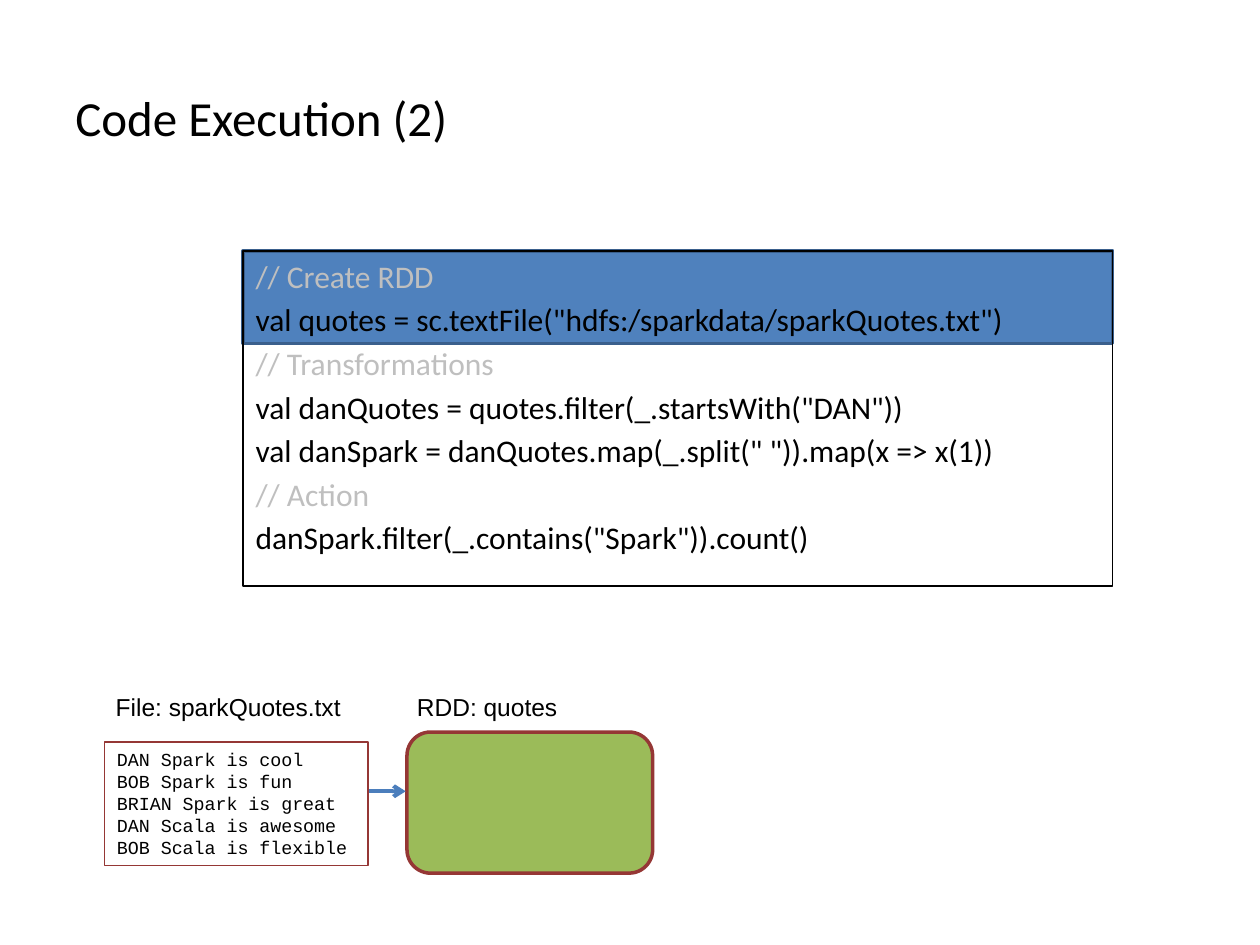
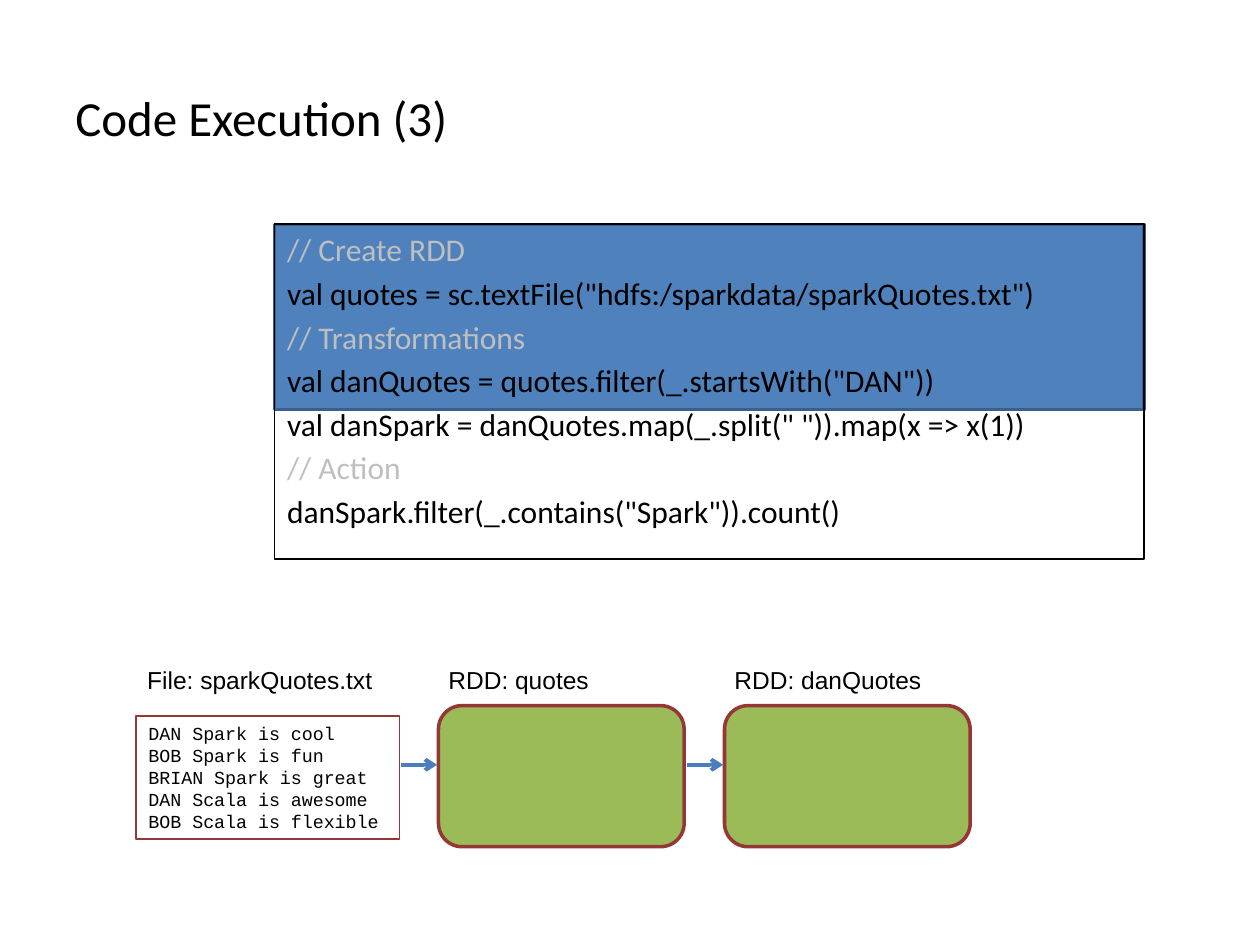
from dataclasses import dataclass

from pptx import Presentation
from pptx.dml.color import RGBColor
from pptx.enum.shapes import MSO_CONNECTOR, MSO_SHAPE
from pptx.enum.text import MSO_ANCHOR, PP_ALIGN
from pptx.oxml.ns import qn
from pptx.util import Inches, Pt
from lxml import etree

RECTANGLE = MSO_SHAPE.RECTANGLE
ROUNDED = MSO_SHAPE.ROUNDED_RECTANGLE
STRAIGHT = MSO_CONNECTOR.STRAIGHT
TOP, MIDDLE = MSO_ANCHOR.TOP, MSO_ANCHOR.MIDDLE
LEFT = PP_ALIGN.LEFT

# Slide grid: 100 columns by 75 rows of square cells
COLUMNS, ROWS = 100, 75
SLIDE_WIDTH, SLIDE_HEIGHT = Inches(10), Inches(7.5)

COLORS = {
    "text": "000000",
    "comment": "BFBFBF",
    "highlight": "4F81BD",
    "highlight_edge": "3A5F8C",
    "arrow": "4B7EBC",
    "rdd": "9BBB59",
    "data_edge": "953735",
}

CODE_LINES = [
    "// Create RDD",
    'val quotes = sc.textFile("hdfs:/sparkdata/sparkQuotes.txt")',
    "// Transformations",
    'val danQuotes = quotes.filter(_.startsWith("DAN"))',
    'val danSpark = danQuotes.map(_.split(" ")).map(x => x(1))',
    "// Action",
    'danSpark.filter(_.contains("Spark")).count()',
]
CODE_ROW = 3.68

FILE_LINES = [
    "DAN Spark is cool",
    "BOB Spark is fun",
    "BRIAN Spark is great",
    "DAN Scala is awesome",
    "BOB Scala is flexible",
]


@dataclass
class Box:
    left: float
    top: float
    width: float
    height: float

    def inner(self, left, top, width, height):
        return Box(self.left + left, self.top + top, width, height)

    def lengths(self):
        return (across(self.left), down(self.top),
                across(self.width), down(self.height))


def across(columns):
    return round(SLIDE_WIDTH * columns / COLUMNS)


def down(rows):
    return round(SLIDE_HEIGHT * rows / ROWS)


def color(name):
    return RGBColor.from_string(COLORS[name])


def write_text(shape, lines, font="Calibri", size=18, colors=None,
               space_before=0, anchor=TOP, wrap=True):
    """Fill a shape with one paragraph per line."""
    frame = shape.text_frame
    frame.word_wrap = wrap
    frame.vertical_anchor = anchor
    for index, line in enumerate(lines):
        paragraph = frame.add_paragraph() if index else frame.paragraphs[0]
        paragraph.alignment = LEFT
        paragraph.space_before = Pt(space_before)
        run = paragraph.add_run()
        run.text = line
        run.font.name = font
        run.font.size = Pt(size)
        run.font.color.rgb = color(colors[index] if colors else "text")


def add_text(slide, box, text, **text_format):
    write_text(slide.shapes.add_textbox(*box.lengths()), [text], **text_format)


def add_box(slide, box, kind=RECTANGLE, fill=None, edge="text", weight=1):
    shape = slide.shapes.add_shape(kind, *box.lengths())
    shape.shadow.inherit = False
    if fill:
        shape.fill.solid()
        shape.fill.fore_color.rgb = color(fill)
    else:
        shape.fill.background()
    shape.line.color.rgb = color(edge)
    shape.line.width = Pt(weight)
    return shape


def add_arrow(slide, start, end, row):
    arrow = slide.shapes.add_connector(
        STRAIGHT, across(start), down(row), across(end), down(row))
    arrow.line.color.rgb = color("arrow")
    arrow.line.width = Pt(2.25)
    etree.SubElement(arrow.line._get_or_add_ln(), qn("a:tailEnd"), type="arrow")
    etree.SubElement(arrow._element.spPr, qn("a:effectLst"))


def add_code_listing(slide, box, executed):
    # Band behind the lines already executed
    add_box(slide, box.inner(0, 0, box.width, executed * CODE_ROW),
            fill="highlight", edge="highlight_edge", weight=2)
    # Framed code, with comments in grey
    colors = ["comment" if line.startswith("//") else "text"
              for line in CODE_LINES]
    write_text(add_box(slide, box), CODE_LINES, colors=colors, space_before=3.3)


def add_data_flow(slide, box, rdds):
    label = {"font": "Arial", "size": 14, "wrap": False}
    # Source file
    file_box = add_box(slide, box.inner(0, 4.5, 20.9, 9.8), edge="data_edge")
    write_text(file_box, FILE_LINES, font="Courier New", size=10.5)
    add_text(slide, box.inner(-0.1, 0, 20, 3.4), "File: sparkQuotes.txt", **label)
    # Chain of datasets, each with an incoming arrow
    for index, (name, label_width) in enumerate(rdds):
        offset = 24 + index * 22.7
        add_box(slide, box.inner(offset, 3.7, 19.5, 11.2), kind=ROUNDED,
                fill="rdd", edge="data_edge", weight=2)
        add_text(slide, box.inner(offset - 0.2, 0, label_width, 3.4),
                 f"RDD: {name}", **label)
        left = box.left + offset
        add_arrow(slide, left - 3, left - 0.1, box.top + 8.4)


def add_execution_slide(presentation, step, left, top, executed, rdds):
    slide = presentation.slides.add_slide(presentation.slide_layouts[6])
    add_text(slide, Box(5, 3, 90, 12.5), f"Code Execution ({step})",
             size=28, anchor=MIDDLE)
    diagram = Box(left, top, 80, 49.4)
    add_code_listing(slide, diagram.inner(11, 0, 69, 26.6), executed)
    add_data_flow(slide, diagram.inner(0, 34.5, 80, 14.9), rdds)


def main():
    presentation = Presentation()
    presentation.slide_width = SLIDE_WIDTH
    presentation.slide_height = SLIDE_HEIGHT
    rdds = [("quotes", 13.2), ("danQuotes", 16.9)]
    add_execution_slide(presentation, 2, 8.3, 19.9, executed=2, rdds=rdds[:1])
    add_execution_slide(presentation, 3, 10.8, 17.8, executed=4, rdds=rdds)
    presentation.save("out.pptx")


if __name__ == "__main__":
    main()
